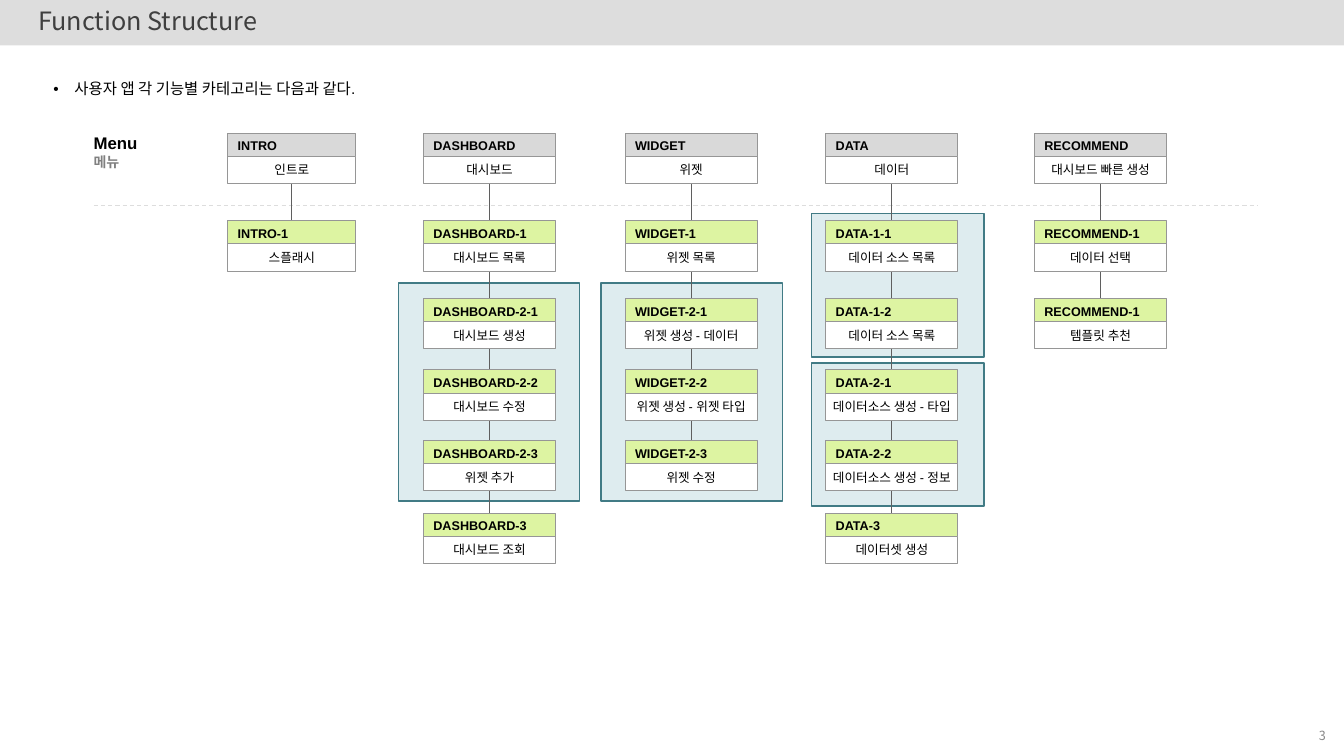
from lxml import etree
from pptx import Presentation
from pptx.dml.color import RGBColor
from pptx.enum.dml import MSO_LINE
from pptx.enum.shapes import MSO_CONNECTOR, MSO_SHAPE
from pptx.enum.text import MSO_ANCHOR, PP_ALIGN
from pptx.oxml.ns import qn
from pptx.util import Inches, Pt

RECTANGLE, STRAIGHT = MSO_SHAPE.RECTANGLE, MSO_CONNECTOR.STRAIGHT
LEFT, CENTER = PP_ALIGN.LEFT, PP_ALIGN.CENTER
TOP, MIDDLE = MSO_ANCHOR.TOP, MSO_ANCHOR.MIDDLE
DASH = MSO_LINE.DASH
BOTTOM_SIDE, TOP_SIDE = 2, 0

LATIN, KOREAN = "Arial", "Noto Sans CJK KR"
BLACK, WHITE, GRAY = "000000", "FFFFFF", "D9D9D9"
BAR, GREEN, EDGE, LINK = "DDDDDD", "DDF4A2", "969696", "5F5F5F"
PANEL, PANEL_EDGE = "DEECEF", "417B85"

# Grid of 0.1 inch cells
GRID_COLUMNS, GRID_ROWS = 133.3, 75
CARD_ROWS = [13.2, 21.9, 29.6, 36.7, 43.7, 50.9]
CARD_WIDTH = 13.1

# Left column, card width, then the cards from top to bottom
MENUS = [
    (22.6, 12.7, [("INTRO", "인트로"), ("INTRO-1", "스플래시")]),
    (42, CARD_WIDTH, [
        ("DASHBOARD", "대시보드"), ("DASHBOARD-1", "대시보드 목록"),
        ("DASHBOARD-2-1", "대시보드 생성"), ("DASHBOARD-2-2", "대시보드 수정"),
        ("DASHBOARD-2-3", "위젯 추가"), ("DASHBOARD-3", "대시보드 조회")]),
    (62, CARD_WIDTH, [
        ("WIDGET", "위젯"), ("WIDGET-1", "위젯 목록"),
        ("WIDGET-2-1", "위젯 생성 - 데이터"),
        ("WIDGET-2-2", "위젯 생성 - 위젯 타입"), ("WIDGET-2-3", "위젯 수정")]),
    (81.9, CARD_WIDTH, [
        ("DATA", "데이터"), ("DATA-1-1", "데이터 소스 목록"),
        ("DATA-1-2", "데이터 소스 목록"), ("DATA-2-1", "데이터소스 생성 - 타입"),
        ("DATA-2-2", "데이터소스 생성 - 정보"), ("DATA-3", "데이터셋 생성")]),
    (102.6, CARD_WIDTH, [
        ("RECOMMEND", "대시보드 빠른 생성"), ("RECOMMEND-1", "데이터 선택"),
        ("RECOMMEND-1", "템플릿 추천")]),
]
PANELS = [(80.5, 36, 17.1, 14.2), (80.5, 21.2, 17.1, 14.2),
          (59.6, 28.1, 18, 21.6), (39.5, 28.1, 18, 21.6)]


def color(value):
    return RGBColor.from_string(value)


def cells(*counts):
    return [Inches(count / 10) for count in counts]


def write(frame, text, size=9, ink=BLACK, font=LATIN, bold=False, align=LEFT,
          hanging=0, bullet=None, spacing=None):
    """Fill the empty first paragraph, or add another one."""
    para = frame.add_paragraph() if frame.text else frame.paragraphs[0]
    para.alignment = align
    if spacing:
        para.line_spacing = spacing
    properties = para._p.get_or_add_pPr()
    if hanging:
        properties.set("marL", str(Inches(hanging)))
        properties.set("indent", str(-Inches(hanging)))
    if bullet:
        etree.SubElement(properties, qn("a:buFont"), typeface=LATIN)
        etree.SubElement(properties, qn("a:buChar"), char=bullet)
    span = para.add_run()
    span.text = text
    span.font.size, span.font.bold, span.font.name = Pt(size), bold, font
    span.font.color.rgb = color(ink)
    etree.SubElement(span._r.get_or_add_rPr(), qn("a:ea"), typeface=KOREAN)


class Page:
    def __init__(self, deck):
        self.shapes = deck.slides.add_slide(deck.slide_layouts[6]).shapes

    def box(self, place, fill, edge=None, weight=0.75, parent=None):
        box = (parent or self).shapes.add_shape(RECTANGLE, *cells(*place))
        box.shadow.inherit = False
        box.fill.solid()
        box.fill.fore_color.rgb = color(fill)
        if edge:
            box.line.color.rgb = color(edge)
            box.line.width = Pt(weight)
        else:
            box.line.fill.background()
        return box

    def text(self, place, anchor=TOP):
        frame = self.shapes.add_textbox(*cells(*place)).text_frame
        frame.word_wrap = True
        frame.vertical_anchor = anchor
        return frame

    def line(self, ink, ends=(0, 0, 0, 0), dash=None):
        line = self.shapes.add_connector(STRAIGHT, *cells(*ends))
        line.line.color.rgb = color(ink)
        line.line.width = Pt(0.75)
        if dash:
            line.line.dash_style = dash
        etree.SubElement(line._element.spPr, qn("a:effectLst"))
        return line

    def card(self, left, top, width, code, name, fill):
        group = self.shapes.add_group_shape()
        title = self.box((left, top, width, 2.5), fill, EDGE, parent=group)
        body = self.box((left, top + 2.3, width, 2.7), WHITE, EDGE, parent=group)
        for box in (title, body):
            box.text_frame.word_wrap = True
            box.text_frame.vertical_anchor = MIDDLE
        body.text_frame.margin_left = body.text_frame.margin_right = 0
        write(title.text_frame, code, bold=True)
        write(body.text_frame, name, align=CENTER)
        return title, body

    def menu(self, left, width, entries):
        link = self.line(LINK)  # stays behind the cards
        cards = [self.card(left, top, width, code, name, GREEN if level else GRAY)
                 for level, (top, (code, name)) in enumerate(zip(CARD_ROWS, entries))]
        link.begin_connect(cards[0][1], BOTTOM_SIDE)
        link.end_connect(cards[-1][0], TOP_SIDE)


def main():
    deck = Presentation()
    deck.slide_width, deck.slide_height = cells(GRID_COLUMNS, GRID_ROWS)
    page = Page(deck)

    # Header bar and panels
    page.box((0, 0, GRID_COLUMNS, 4.5), BAR)
    for place in PANELS:
        page.box(place, PANEL, PANEL_EDGE, weight=1)

    # Title, introduction and row label
    write(page.text((2.8, 0.4, 127.1, 3.7), MIDDLE), "Function Structure",
          size=18, ink="3F3F3F", font=KOREAN, spacing=0.9)
    write(page.text((4.3, 7.4, 109.5, 2.8)), "사용자 앱 각 기능별 카테고리는 다음과 같다.",
          size=11, hanging=0.21, bullet="•")
    label = page.text((8.3, 12.7, 10.9, 5.1))
    write(label, "Menu", size=12, bold=True, hanging=0.09)
    write(label, "메뉴", size=10, ink="808080", bold=True, hanging=0.09)

    # Divider and menu trees
    page.line(BAR, (9.3, 20.4, 124.7, 20.4), DASH)
    for left, width, entries in MENUS:
        page.menu(left, width, entries)

    # Page number
    write(page.text((129, 71, 4.3, 4), MIDDLE), "3", ink="888888", font=KOREAN,
          align=CENTER)
    deck.save("out.pptx")


if __name__ == "__main__":
    main()
